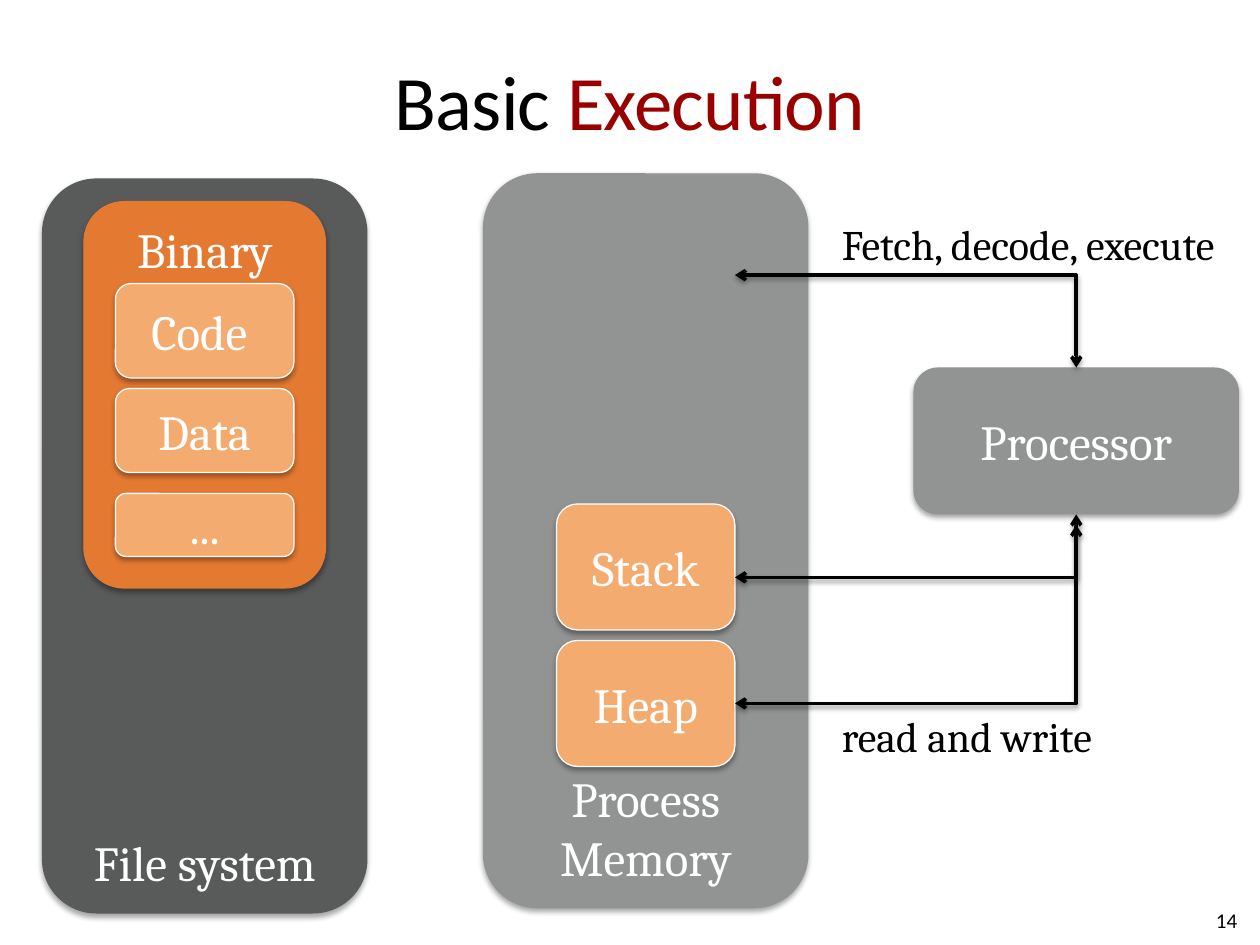
from lxml.etree import SubElement
from pptx import Presentation
from pptx.dml.color import RGBColor
from pptx.enum.shapes import MSO_CONNECTOR as Connector, MSO_SHAPE as Shape
from pptx.enum.text import MSO_ANCHOR as Anchor, MSO_AUTO_SIZE as AutoSize, PP_ALIGN as Align
from pptx.oxml.ns import qn
from pptx.util import Emu, Pt

SCALE = 7620  # EMU per px, 120 px to the inch
BLACK, WHITE, RED = "000000", "FFFFFF", "990000"
GREY, DARK_GREY = "929393", "595A5A"
ORANGE, LIGHT_ORANGE = "E47932", "F4AB70"


def px(*lengths):
    return [Emu(length * SCALE) for length in lengths]


def colour(value):
    return RGBColor.from_string(value)


def style(para, size, font_name, text_colour, align):
    para.alignment = align
    para.font.size = Pt(size)
    para.font.name = font_name
    para.font.color.rgb = colour(text_colour)


def add_shadow(properties, opacity, distance):
    effects = properties.find(qn("a:effectLst"))
    if effects is None:
        effects = SubElement(properties, qn("a:effectLst"))
    shadow = SubElement(effects, qn("a:outerShdw"), blurRad=str(Pt(3.1)),
                        dist=str(Pt(distance)), dir="5400000", rotWithShape="0")
    tint = SubElement(shadow, qn("a:srgbClr"), val=BLACK)
    SubElement(tint, qn("a:alpha"), val=str(opacity * 1000))


def add_block(shapes, text, bounds, fill, line=None, anchor=Anchor.MIDDLE):
    block = shapes.add_shape(Shape.ROUNDED_RECTANGLE, *px(*bounds))
    block.fill.solid()
    block.fill.fore_color.rgb = colour(fill)
    if line:
        block.line.color.rgb = colour(line)
        block.line.width = Pt(0.75)
    else:
        block.line.fill.background()
    block.shadow.inherit = False
    add_shadow(block._element.spPr, 35, 1.8)
    frame = block.text_frame
    frame.word_wrap = True
    frame.vertical_anchor = anchor
    frame.text = text
    style(frame.paragraphs[0], 28, "Cambria", WHITE, Align.CENTER)


def add_elbow(shapes, *ends):
    elbow = shapes.add_connector(Connector.ELBOW, *px(*ends))
    elbow.line.color.rgb = colour(BLACK)
    elbow.line.width = Pt(2)
    properties = elbow._element.spPr
    properties.find(qn("a:prstGeom")).set("prst", "bentConnector2")
    for end in ("a:headEnd", "a:tailEnd"):
        SubElement(properties.find(qn("a:ln")), qn(end), type="arrow")
    add_shadow(properties, 38, 1.6)


def add_label(shapes, text, bounds):
    box = shapes.add_textbox(*px(*bounds))
    frame = box.text_frame
    frame.text = text
    frame.word_wrap = False
    frame.auto_size = AutoSize.SHAPE_TO_FIT_TEXT
    style(frame.paragraphs[0], 24, "Cambria", BLACK, Align.LEFT)


def set_title(title):
    title.left, title.top, title.width, title.height = px(60, 20, 1080, 150)
    frame = title.text_frame
    frame.margin_left = frame.margin_right = 0
    frame.vertical_anchor = Anchor.MIDDLE
    para = frame.paragraphs[0]
    style(para, 44, "Calibri", BLACK, Align.CENTER)
    for text, text_colour in (("Basic", BLACK), (" Execution", RED)):
        span = para.add_run()
        span.text = text
        span.font.color.rgb = colour(text_colour)
        span.font._element.set("spc", "-50")


def add_page_number(shapes, number):
    box = shapes.add_textbox(*px(910, 852, 280, 48))
    frame = box.text_frame
    frame.word_wrap = True
    frame.vertical_anchor = Anchor.MIDDLE
    frame.text = number
    style(frame.paragraphs[0], 12, "Calibri", BLACK, Align.RIGHT)


def main():
    deck = Presentation()
    deck.slide_width, deck.slide_height = px(1200, 900)
    page = deck.slides.add_slide(deck.slide_layouts[5])
    shapes = page.shapes
    set_title(shapes.title)

    # Memory and file system columns
    add_block(shapes, "Process\vMemory", (460, 165, 310, 700), GREY, anchor=Anchor.BOTTOM)
    add_block(shapes, "File system", (40, 170, 310, 700), DARK_GREY, anchor=Anchor.BOTTOM)
    add_page_number(shapes, "14")

    # Binary and its sections
    add_block(shapes, "Binary", (80, 192, 230, 368), ORANGE, ORANGE, Anchor.TOP)
    sections = shapes.add_group_shape().shapes
    for text, top, height in (("Code ", 270, 90), ("Data", 370, 80), ("...", 470, 60)):
        add_block(sections, text, (110, top, 170, height), LIGHT_ORANGE, WHITE)

    # Memory areas and processor
    for text, top in (("Stack", 480), ("Heap", 610)):
        add_block(shapes, text, (530, top, 170, 120), LIGHT_ORANGE, WHITE)
    add_block(shapes, "Processor", (870, 350, 310, 140), GREY)

    # Instruction flow
    fetch = shapes.add_group_shape().shapes
    add_elbow(fetch, 700, 262, 1025, 350)
    add_label(fetch, "Fetch, decode, execute", (790, 202, 409, 60))

    # Data flow
    access = shapes.add_group_shape().shapes
    for start, end in ((550, 500), (670, 490)):
        add_elbow(access, 700, start, 1025, end)
    add_label(access, "read and write", (790, 671, 277, 60))

    deck.save("out.pptx")


if __name__ == "__main__":
    main()
